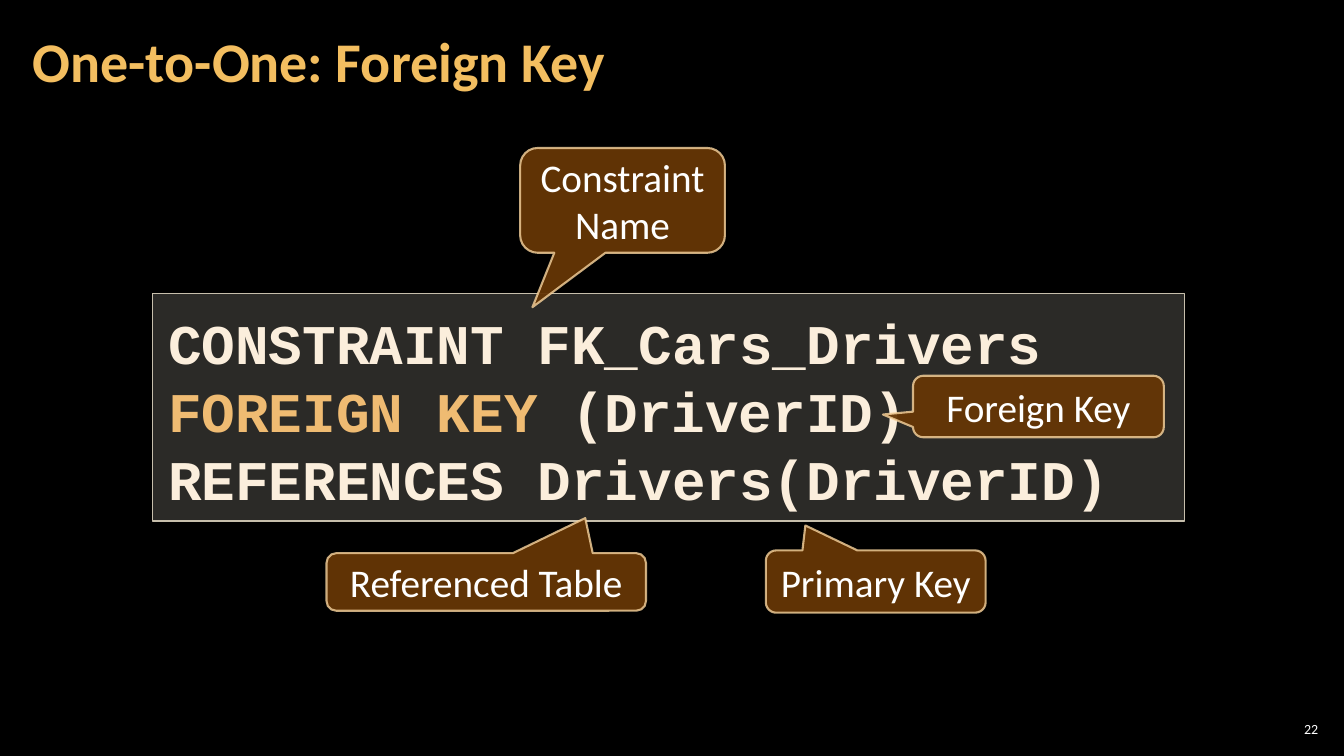
from lxml import etree
from pptx import Presentation
from pptx import util as u
from pptx.dml.color import RGBColor
from pptx.enum import shapes, text
from pptx.oxml.ns import qn

WHITE, GOLD, CREAM = "FFFFFF", "F3BE60", "FBEEDC"


def color(value):
    """Turn a hex string into a colour."""
    return RGBColor.from_string(value)


def paint(target, value, opacity=100):
    """Give a fill a solid colour with an opacity in percent."""
    target.solid()
    target.fore_color.rgb = color(value)
    if opacity < 100:
        tint = target._xPr.find(".//" + qn("a:srgbClr"))
        etree.SubElement(tint, qn("a:alpha"), val=str(opacity * 1000))


def set_format(target, **values):
    """Set each format value as an attribute of the target."""
    for name, value in values.items():
        setattr(target, name, value)


def set_frame(shape, horizontal, vertical, anchor):
    """Set margins in centimetres, anchor and wrapping of a text frame."""
    frame = shape.text_frame
    set_format(frame, word_wrap=True, vertical_anchor=anchor,
               margin_left=u.Cm(horizontal), margin_right=u.Cm(horizontal),
               margin_top=u.Cm(vertical), margin_bottom=u.Cm(vertical))
    return frame.paragraphs[0]


def add_run(paragraph, words, size, ink, font="Calibri", bold=False):
    """Append formatted words to a paragraph."""
    run = paragraph.add_run()
    run.text = words
    set_format(run.font, name=font, size=u.Pt(size), bold=bold)
    run.font.color.rgb = color(ink)


def add_panel(slide, kind, box, fill, line):
    """Draw a filled, outlined shape in a box of centimetres."""
    shape = slide.shapes.add_shape(kind, *map(u.Cm, box))
    shape.shadow.inherit = False
    paint(shape.fill, *fill)
    ink, width, opacity = line
    paint(shape.line.fill, ink, opacity)
    shape.line.width = u.Pt(width)
    return shape


def add_label(slide, box, words, size, ink, margins, alignment, bold=False):
    """Place one line of text, centred vertically in its box."""
    label = slide.shapes.add_textbox(*map(u.Cm, box))
    paragraph = set_frame(label, *margins, text.MSO_ANCHOR.MIDDLE)
    set_format(paragraph, alignment=alignment, line_spacing=0.9)
    add_run(paragraph, words, size, ink, bold=bold)


def add_code(slide, box, lines):
    """Place the code panel, each line a list of words and colours."""
    panel = add_panel(slide, shapes.MSO_SHAPE.RECTANGLE, box,
                      ("D9D5C7", 20), ("C7BFAC", 1, 100))
    paragraph = set_frame(panel, 0.4, 0.36, text.MSO_ANCHOR.TOP)
    set_format(paragraph, alignment=text.PP_ALIGN.LEFT, line_spacing=u.Pt(48.5))
    for index, pieces in enumerate(lines):
        if index:
            paragraph.add_line_break()
        for words, ink in pieces:
            add_run(paragraph, words, 40, ink, "Courier New", True)


def add_callout(slide, box, tip, words):
    """Place a callout whose tip is a fraction of its size from its centre."""
    callout = add_panel(slide, shapes.MSO_SHAPE.ROUNDED_RECTANGULAR_CALLOUT, box,
                        ("663606", 95), ("F8D49E", 1.5, 80))
    for index, value in enumerate((*tip, 0.167)):
        callout.adjustments[index] = value
    paragraph = set_frame(callout, 0.25, 0.13, text.MSO_ANCHOR.MIDDLE)
    paragraph.alignment = text.PP_ALIGN.CENTER
    add_run(paragraph, words, 28, WHITE)


def build_code_slide(presentation):
    """Build the slide that explains the parts of a foreign key constraint."""
    slide = presentation.slides.add_slide(presentation.slide_layouts[6])
    paint(slide.background.fill, "000000")
    add_code(slide, (3.84, 7.39, 26.01, 5.74), [
        [("CONSTRAINT FK_Cars_Drivers", CREAM)],
        [("FOREIGN KEY ", "EFBB72"), ("(DriverID)", CREAM)],
        [("REFERENCES Drivers(DriverID)", CREAM)],
    ])
    add_label(slide, (32.13, 18.14, 1.19, 0.53), "22", 10, WHITE,
              (0.1, 0.1), text.PP_ALIGN.RIGHT)
    add_label(slide, (0.53, 0.1, 26.59, 3.07), "One-to-One: Foreign Key", 40, GOLD,
              (0.3, 0.1), text.PP_ALIGN.LEFT, True)
    for box, tip, words in (
        ((19.3, 13.87, 5.54, 1.57), (-0.32, -0.9), "Primary Key"),
        ((23.01, 9.47, 6.32, 1.55), (-0.62, 0.13), "Foreign Key"),
        ((13.11, 3.73, 5.16, 2.64), (-0.44, 1.02), "Constraint Name"),
        ((8.23, 13.94, 8.05, 1.45), (0.31, -1.11), "Referenced Table"),
    ):
        add_callout(slide, box, tip, words)


def main():
    """Create and save the presentation."""
    presentation = Presentation()
    set_format(presentation, slide_width=u.Cm(33.87), slide_height=u.Cm(19.05))
    build_code_slide(presentation)
    presentation.save("out.pptx")


if __name__ == "__main__":
    main()
